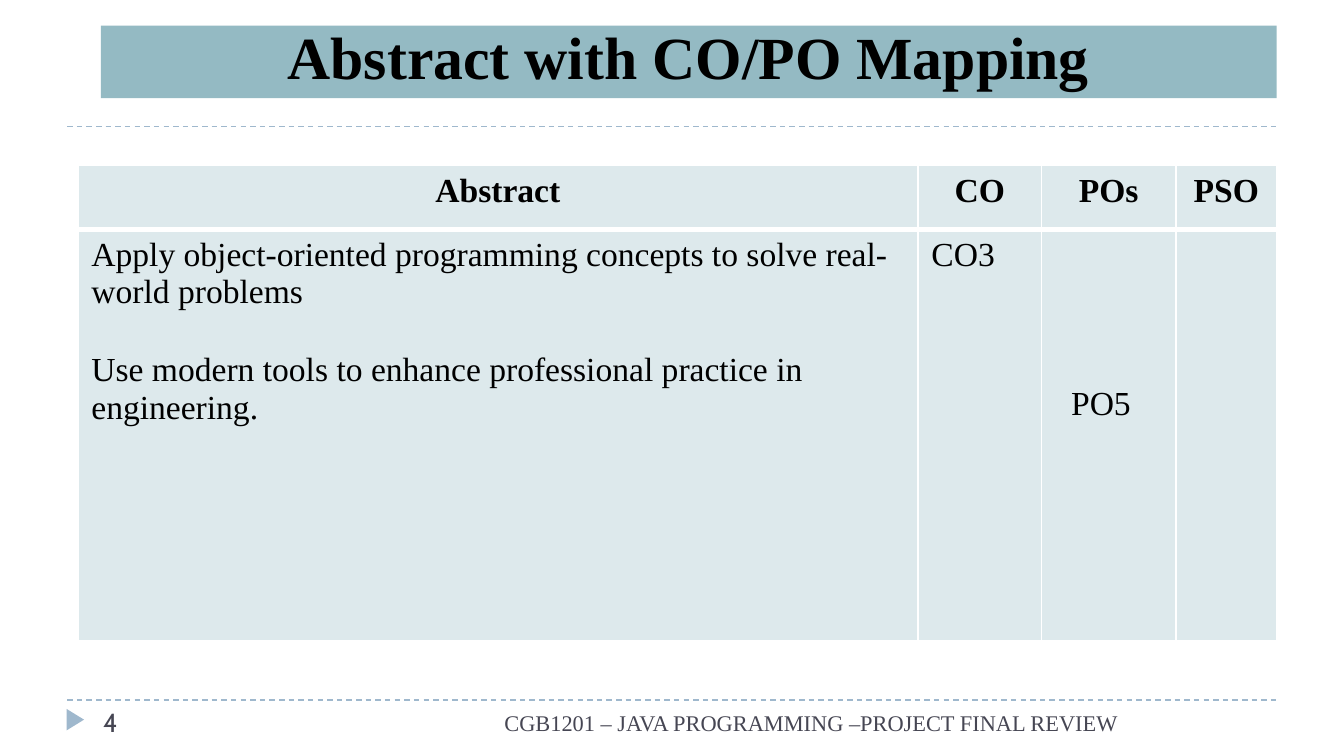
from lxml import etree
from pptx import Presentation
from pptx.dml.color import RGBColor
from pptx.enum.dml import MSO_LINE
from pptx.enum.shapes import MSO_CONNECTOR, MSO_SHAPE
from pptx.enum.text import MSO_ANCHOR, MSO_AUTO_SIZE, PP_ALIGN
from pptx.oxml.ns import qn
from pptx.util import Inches, Pt

BLACK = RGBColor(0x00, 0x00, 0x00)
SLATE = RGBColor(0x46, 0x46, 0x53)
BLUE = RGBColor(0x9F, 0xB8, 0xCD)
TEAL = RGBColor(0x94, 0xBA, 0xC3)
PALE_TEAL = RGBColor(0xDD, 0xE9, 0xEC)
SERIF = "Times New Roman"
DASH = MSO_LINE.DASH
STRAIGHT = MSO_CONNECTOR.STRAIGHT
TRIANGLE = MSO_SHAPE.ISOSCELES_TRIANGLE
BOTTOM = MSO_ANCHOR.BOTTOM
NO_AUTOFIT = MSO_AUTO_SIZE.NONE
LEFT, CENTER, RIGHT = PP_ALIGN.LEFT, PP_ALIGN.CENTER, PP_ALIGN.RIGHT


def format_text(frame, size, color, font=SERIF, bold=False, align=LEFT):
    for paragraph in frame.paragraphs:
        paragraph.alignment = align
        for run in paragraph.runs:
            run.font.name = font
            run.font.size = Pt(size)
            run.font.bold = bold
            run.font.color.rgb = color


def add_white_borders(cell, widths):
    properties = cell._tc.get_or_add_tcPr()
    for position, (side, width) in enumerate(widths.items()):
        border = etree.Element(qn(f"a:ln{side}"), w=str(Pt(width)))
        fill = etree.SubElement(border, qn("a:solidFill"))
        etree.SubElement(fill, qn("a:srgbClr"), val="FFFFFF")
        properties.insert(position, border)


# Widescreen 16:9 slide
prs = Presentation()
prs.slide_width = Inches(10)
prs.slide_height = Inches(10 * 9 / 16)
slide = prs.slides.add_slide(prs.slide_layouts[5])
shapes = slide.shapes

# Dashed rules below the title and above the footer
for y in (5.21, 0.94):
    rule = shapes.add_connector(STRAIGHT, Inches(0.5), Inches(y), Inches(9.5), Inches(y))
    rule.line.color.rgb = BLUE
    rule.line.width = Pt(0.75)
    rule.line.dash_style = DASH
    etree.SubElement(rule._element.spPr, qn("a:effectLst"))

# Footer marker
marker = shapes.add_shape(TRIANGLE, Inches(0.48), Inches(5.29), Inches(0.16), Inches(0.13))
marker.rotation = 90
marker.shadow.inherit = False
marker.fill.solid()
marker.fill.fore_color.rgb = BLUE
marker.line.fill.background()

# Title
title = shapes.title
title.left, title.top = Inches(0.75), Inches(0.19)
title.width, title.height = Inches(8.75), Inches(0.54)
title.fill.solid()
title.fill.fore_color.rgb = TEAL
title_frame = title.text_frame
title_frame.text = "Abstract with CO/PO Mapping"
title_frame.auto_size = NO_AUTOFIT
title_frame.vertical_anchor = BOTTOM
title_frame.margin_top, title_frame.margin_bottom = 0, Inches(0.05)
format_text(title_frame, 32, BLACK, bold=True, align=CENTER)

# Mapping table
rows = [
    ["Abstract", "CO", "POs", "PSO"],
    ["Apply object-oriented programming concepts to solve real-world problems\n"
     "Use modern tools to enhance professional practice in engineering.",
     "CO3", "PO5", ""],
]
mapping = shapes.add_table(2, 4, Inches(0.58), Inches(1.23), Inches(8.92), Inches(3.54)).table
for column, width in zip(mapping.columns, (6.25, 0.92, 1, 0.75)):
    column.width = Inches(width)
for row, height in zip(mapping.rows, (0.48, 3.06)):
    row.height = Inches(height)

for r, texts in enumerate(rows):
    header = r == 0
    borders = {"L": 1, "R": 1, "T": 1 if header else 3, "B": 3 if header else 1}
    for c, text in enumerate(texts):
        cell = mapping.cell(r, c)
        cell.text_frame.text = text
        cell.fill.solid()
        cell.fill.fore_color.rgb = PALE_TEAL
        add_white_borders(cell, borders)
        format_text(cell.text_frame, 18, BLACK, bold=header, align=CENTER if header else LEFT)

# Gap between the two outcomes, and the PO placed beside them
mapping.cell(1, 0).text_frame.paragraphs[1].space_before = Pt(22)
po_cell = mapping.cell(1, 2)
po_cell.margin_left, po_cell.margin_top = Inches(0.22), Inches(1.16)

# Slide number and footer
footer_texts = [
    ("4", 0.67, 5.21, 2.17, 0.3, 14, "Cabin", LEFT),
    ("CGB1201 – JAVA PROGRAMMING –PROJECT FINAL REVIEW", 3.42, 5.23, 5, 0.41, 12, SERIF, RIGHT),
]
for text, x, y, width, height, size, font, align in footer_texts:
    footer = shapes.add_textbox(Inches(x), Inches(y), Inches(width), Inches(height))
    footer.text_frame.word_wrap = True
    footer.text_frame.text = text
    format_text(footer.text_frame, size, SLATE, font=font, align=align)

prs.save("out.pptx")
